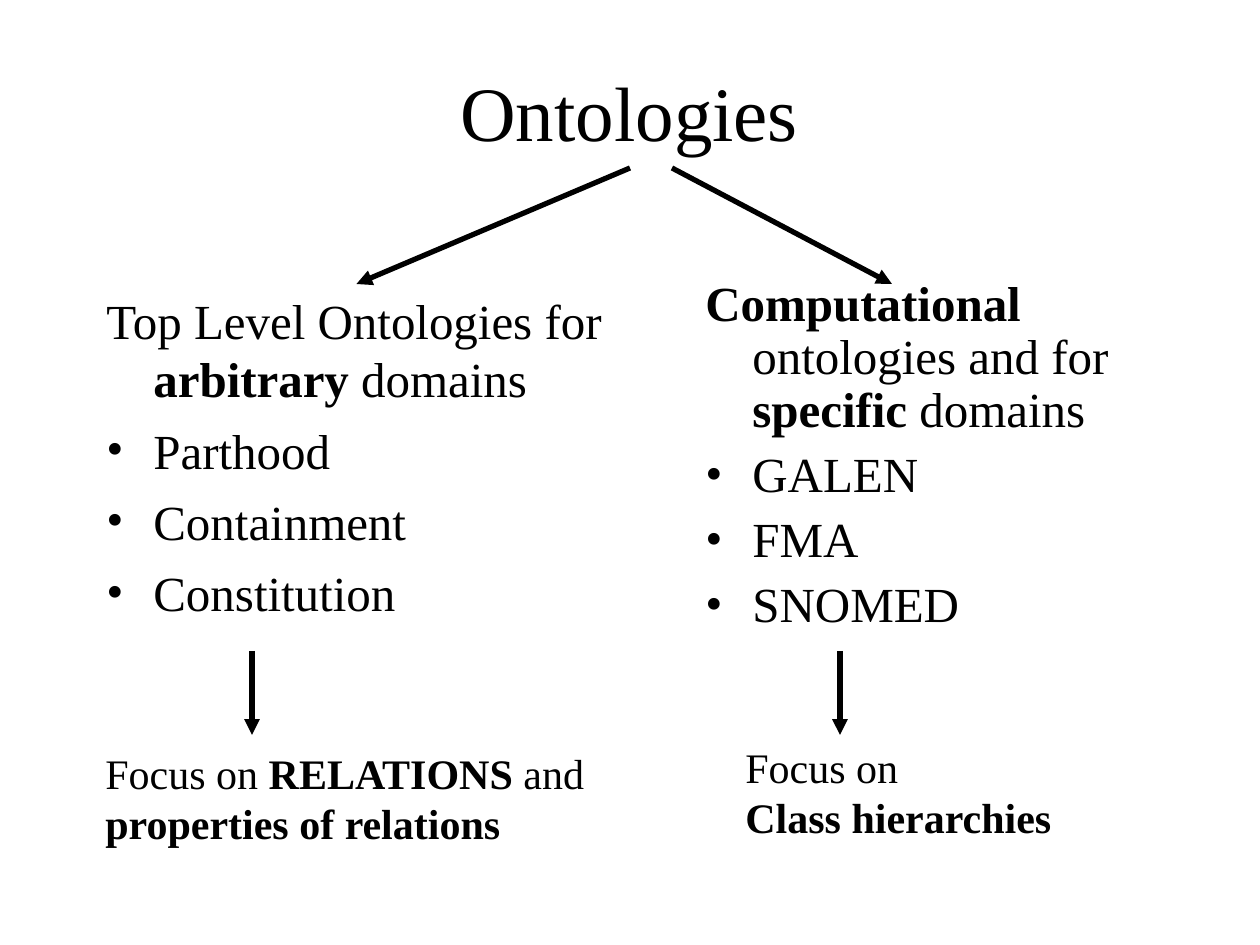
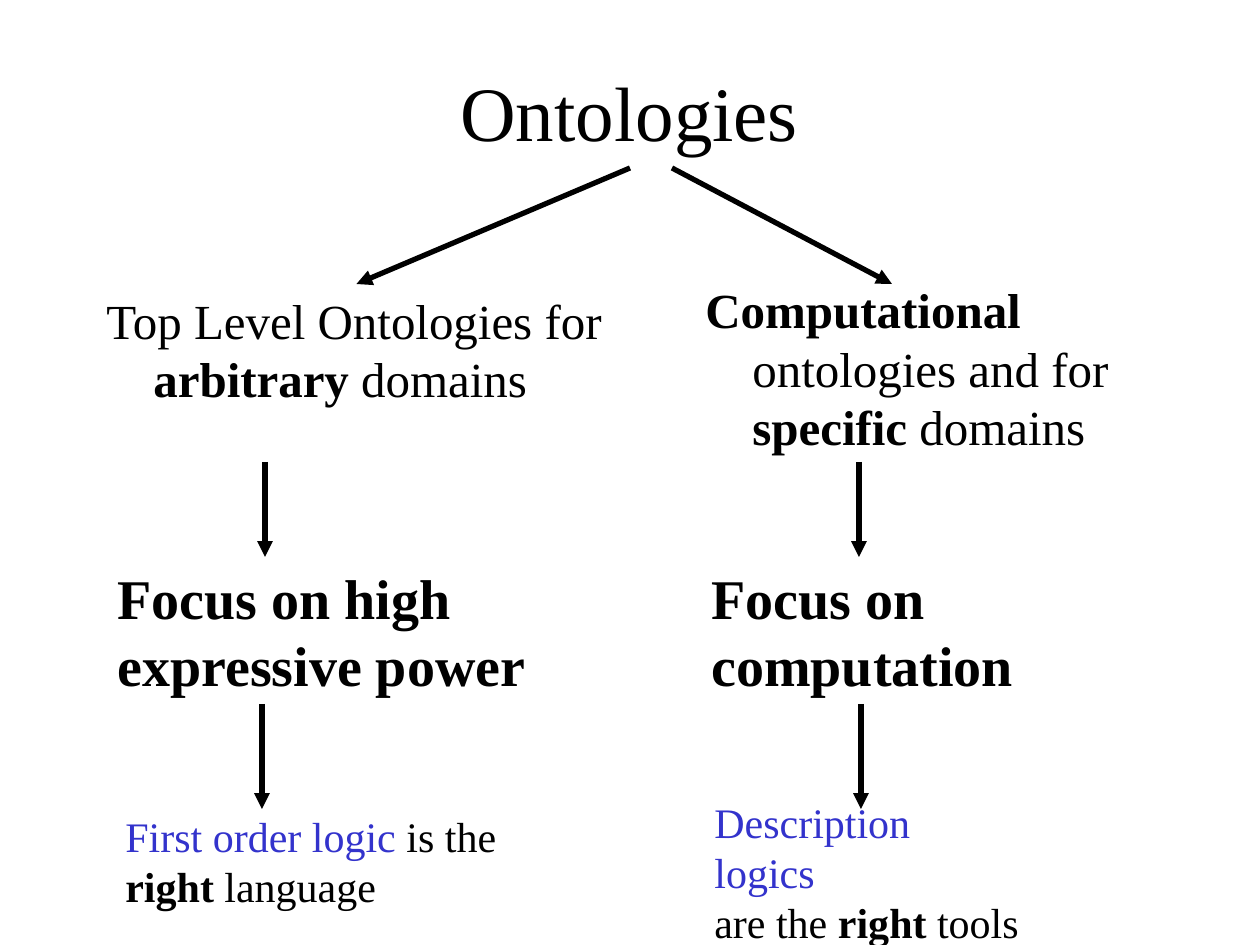
import lxml.etree
import pptx
import pptx.dml.color
import pptx.enum.shapes
import pptx.enum.text
import pptx.oxml.ns
import pptx.util

PX = 914400 / 126
FONT = "Times New Roman"
BLACK = "000000"
BLUE = "3333CC"
INDENT = 47
TOP_SIDE = 0

ARBITRARY = [("Top Level Ontologies for ",), ("arbitrary", True), (" domains",)]
SPECIFIC = [("Computational", True), (" ontologies and for ",),
            ("specific", True), (" domains",)]


def px(length):
    return pptx.util.Emu(round(length * PX))


def color(value):
    return pptx.dml.color.RGBColor.from_string(value)


def add_child(parent, tag, **attributes):
    lxml.etree.SubElement(parent, pptx.oxml.ns.qn(tag), attributes)


def add_text_box(slide, left, top, width, height, wrap=True):
    box = slide.shapes.add_textbox(px(left), px(top), px(width), px(height))
    box.text_frame.word_wrap = wrap
    return box


def fill_paragraph(paragraph, runs, size):
    bold_flags = {is_bold for _, is_bold, _ in runs}
    hues = {hue for _, _, hue in runs}
    paragraph.font.name = FONT
    paragraph.font.size = pptx.util.Pt(size)
    if len(bold_flags) == 1:
        paragraph.font.bold = runs[0][1]
    if len(hues) == 1:
        paragraph.font.color.rgb = color(runs[0][2])
    for words, is_bold, hue in runs:
        run = paragraph.add_run()
        run.text = words
        if len(bold_flags) > 1:
            run.font.bold = is_bold
        if len(hues) > 1:
            run.font.color.rgb = color(hue)


def complete(runs):
    defaults = ("", False, BLACK)
    return [run + defaults[len(run):] for run in runs]


def paragraphs_of(box, count):
    frame = box.text_frame
    return [frame.paragraphs[0]] + [frame.add_paragraph() for _ in range(count - 1)]


def add_title(slide, words):
    title = add_text_box(slide, 94, 32, 1071, 157)
    title.text_frame.vertical_anchor = pptx.enum.text.MSO_ANCHOR.MIDDLE
    heading = title.text_frame.paragraphs[0]
    heading.alignment = pptx.enum.text.PP_ALIGN.CENTER
    fill_paragraph(heading, complete([(words,)]), 44)


def add_branch(slide, left, top, height, heading, examples=(), spacing=None):
    branch = add_text_box(slide, left, top, 525, height)
    lines = [heading] + [[(example,)] for example in examples]
    for index, paragraph in enumerate(paragraphs_of(branch, len(lines))):
        properties = paragraph._p.get_or_add_pPr()
        properties.set("marL", str(px(INDENT)))
        properties.set("indent", str(-px(INDENT)))
        if spacing:
            paragraph.line_spacing = spacing
        if index:
            paragraph.space_before = pptx.util.Pt(7)
            add_child(properties, "a:buFont", typeface=FONT)
            add_child(properties, "a:buChar", char="•")
        else:
            add_child(properties, "a:buNone")
        fill_paragraph(paragraph, complete(lines[index]), 28)
    return branch


def add_note(slide, left, top, width, height, size, lines):
    note = add_text_box(slide, left, top, width, height, wrap=False)
    note.text_frame.auto_size = pptx.enum.text.MSO_AUTO_SIZE.SHAPE_TO_FIT_TEXT
    for paragraph, runs in zip(paragraphs_of(note, len(lines)), lines):
        fill_paragraph(paragraph, complete(runs), size)


def add_arrow(slide, start, end, target=None):
    arrow = slide.shapes.add_connector(
        pptx.enum.shapes.MSO_CONNECTOR.STRAIGHT, *map(px, start + end))
    arrow.line.color.rgb = color(BLACK)
    arrow.line.width = pptx.util.Pt(3)
    properties = arrow._element.spPr
    add_child(properties.find(pptx.oxml.ns.qn("a:ln")), "a:tailEnd", type="triangle")
    add_child(properties, "a:effectLst")
    if target is not None:
        arrow.end_connect(target, TOP_SIDE)


def add_down_arrow(slide, x, top, bottom):
    add_arrow(slide, (x, top), (x, bottom))


def add_ontology_slide(deck, left_height, right_height,
                       left_examples=(), right_examples=(), right_spacing=None):
    slide = deck.slides.add_slide(deck.slide_layouts[6])
    add_title(slide, "Ontologies")
    top_level = add_branch(slide, 94, 284, left_height, ARBITRARY, left_examples)
    add_branch(slide, 693, 273, right_height, SPECIFIC, right_examples, right_spacing)
    add_arrow(slide, (630, 168), (357, 284), top_level)
    add_arrow(slide, (672, 168), (892, 284))
    return slide


def add_examples_slide(deck):
    slide = add_ontology_slide(
        deck, 388, 388,
        ["Parthood", "Containment", "Constitution"],
        ["GALEN", "FMA", "SNOMED"], 0.9)
    for x in (252, 840):
        add_down_arrow(slide, x, 651, 735)
    add_note(slide, 93, 741, 507, 113, 24, [
        [("Focus on ",), ("RELATIONS ", True), ("and",)],
        [("properties of relations", True)]])
    add_note(slide, 733, 735, 331, 113, 24, [
        [("Focus on",)], [("Class hierarchies", True)]])


def add_languages_slide(deck):
    slide = add_ontology_slide(deck, 179, 210)
    for x in (265, 859):
        add_down_arrow(slide, x, 462, 557)
    for x in (262, 861):
        add_down_arrow(slide, x, 704, 809)
    add_note(slide, 105, 557, 435, 147, 32, [
        [("Focus on high", True)], [("expressive power", True)]])
    add_note(slide, 699, 557, 328, 147, 32, [
        [("Focus on", True)], [("computation", True)]])
    add_note(slide, 113, 804, 406, 113, 24, [
        [("First order logic ", False, BLUE), ("is the",)],
        [("right", True), (" language",)]])
    add_note(slide, 702, 790, 331, 113, 24, [
        [("Description logics", False, BLUE)],
        [("are the ",), ("right", True), (" tools",)]])


def main():
    deck = pptx.Presentation()
    deck.slide_width = px(1260)
    deck.slide_height = px(945)
    add_examples_slide(deck)
    add_languages_slide(deck)
    deck.save("out.pptx")


if __name__ == "__main__":
    main()
